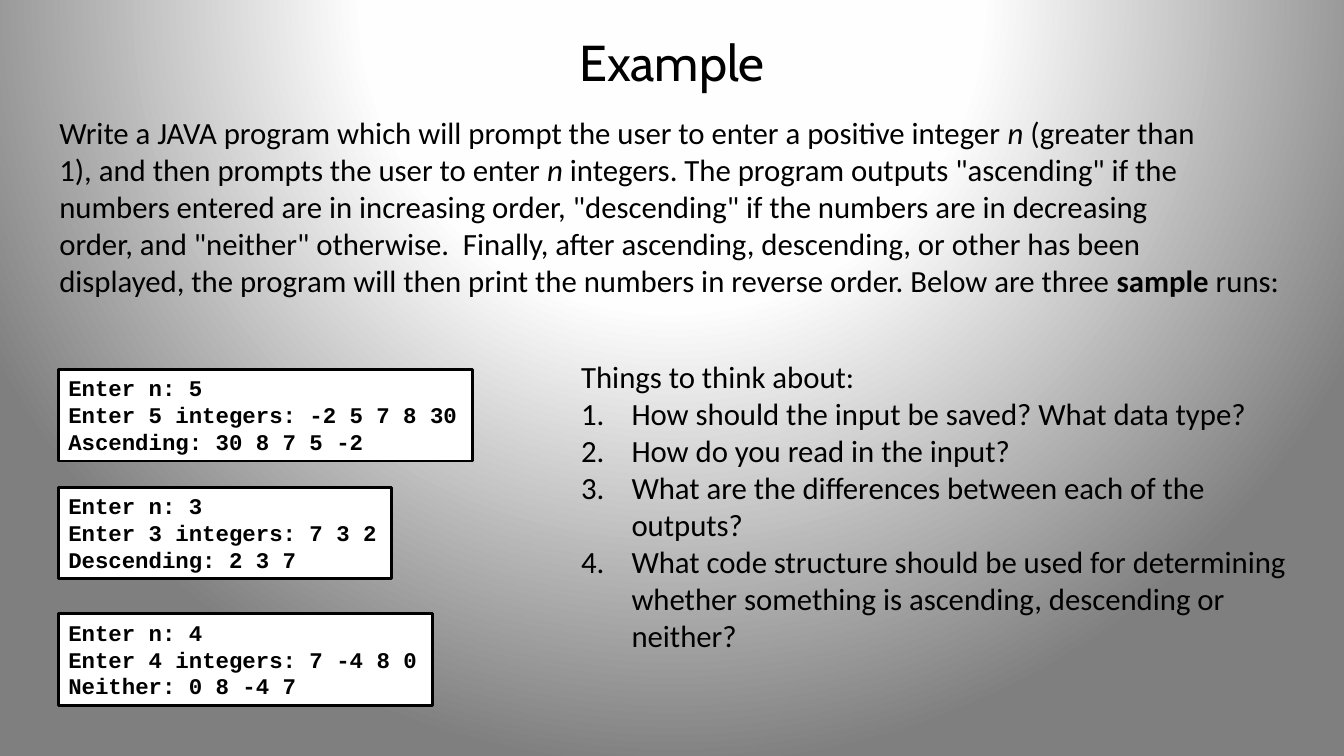
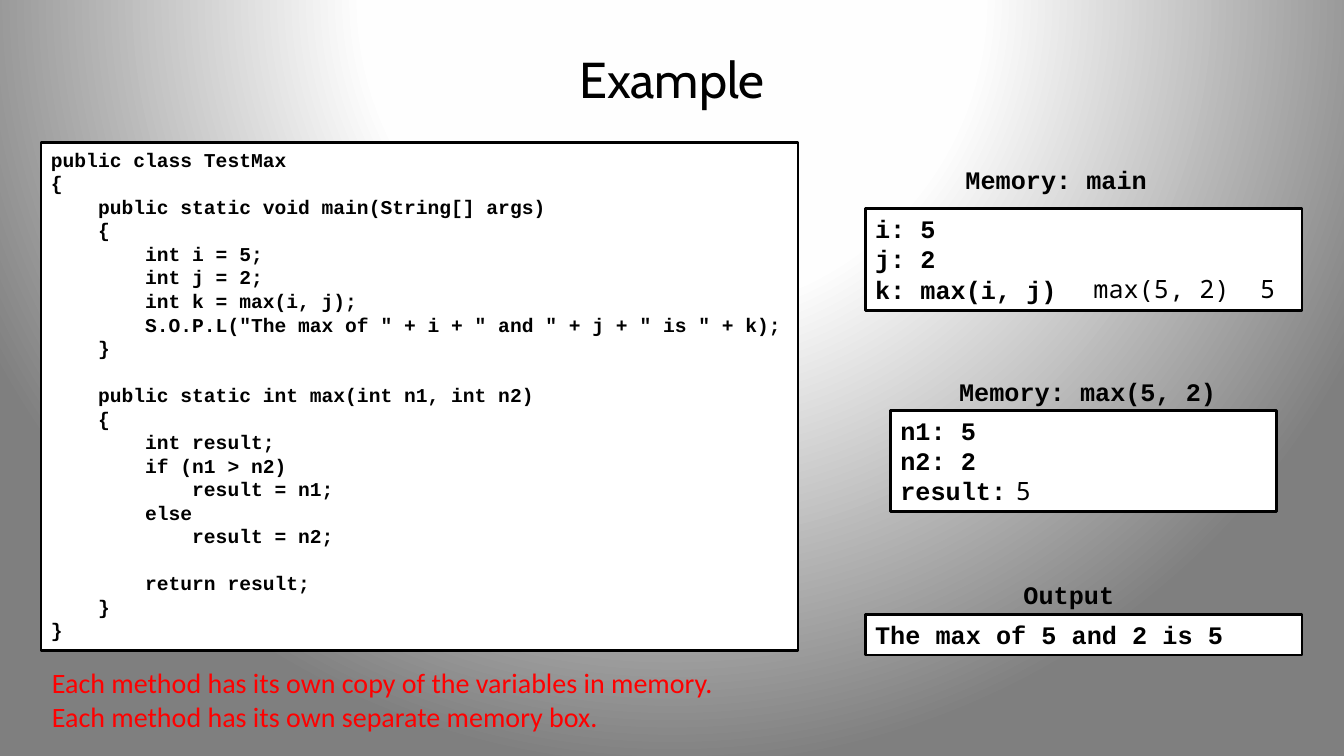
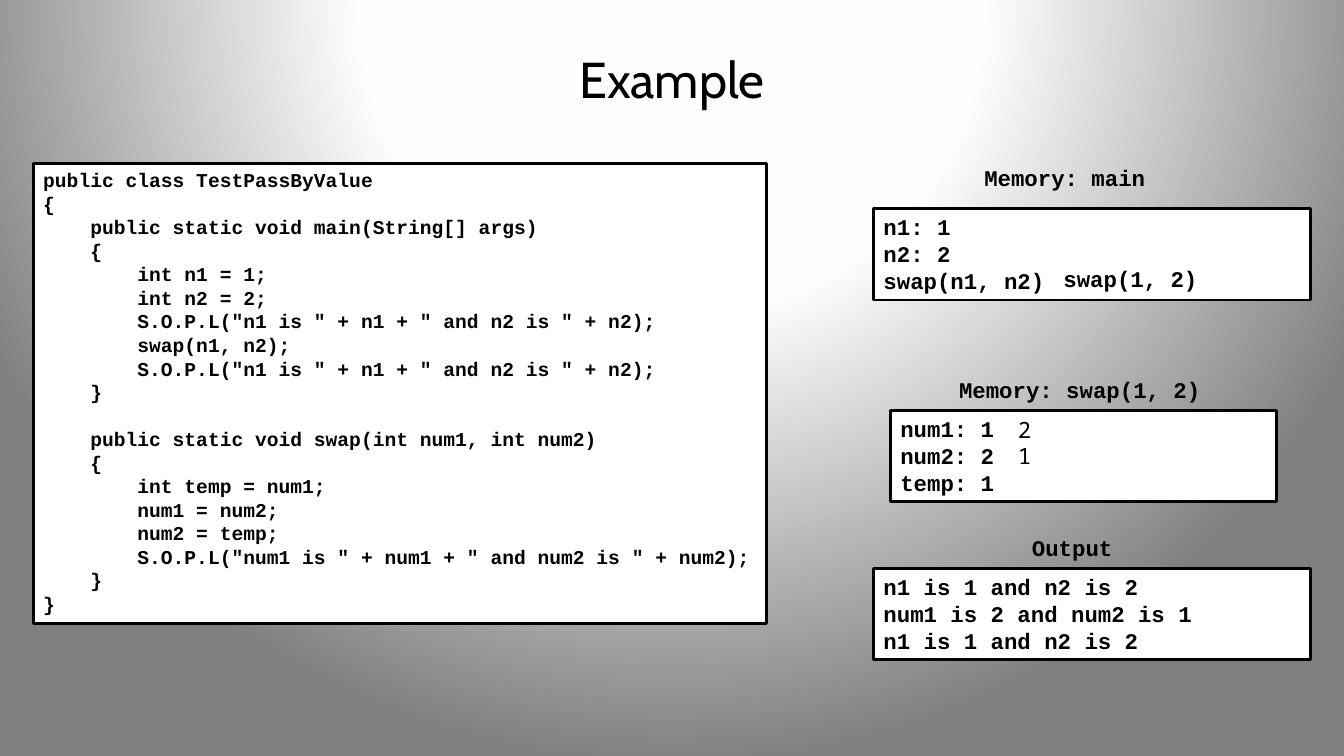
import dataclasses

import lxml.etree
import pptx
import pptx.dml.color
import pptx.enum.shapes
import pptx.enum.text
import pptx.oxml
import pptx.oxml.ns
import pptx.util

Pt = pptx.util.Pt


@dataclasses.dataclass(frozen=True)
class Style:
    """Font, weight and colour of a kind of text."""
    font: str
    bold: bool = False
    color: str = "000000"


@dataclasses.dataclass(frozen=True)
class Theme:
    """Colours, type and measures shared by the slides."""
    width: int = 960
    height: int = 540
    title: Style = Style("Cabin")
    body: Style = Style("Calibri")
    note: Style = Style("Calibri", color="FF0000")
    mono: Style = Style("Courier New", bold=True)
    value: Style = Style("Noto Sans Mono")
    title_size: int = 36
    body_size: int = 22
    note_size: int = 20
    large_size: int = 18
    sample_size: int = 16
    code_size: int = 14
    panel_fill: str = "FFFFFF"
    panel_line: str = "000000"
    line_width: int = 2
    leading: float = 1.21
    padding: float = 7.2
    indent: int = 36
    stops: tuple = ((0, "FFFFFF"), (40, "FEFEFE"), (100, "7F7F7F"))


THEME = Theme()

MAX_CODE = """public class TestMax
{
    public static void main(String[] args)
    {
        int i = 5;
        int j = 2;
        int k = max(i, j);
        S.O.P.L("The max of " + i + " and " + j + " is " + k);
    }

    public static int max(int n1, int n2)
    {
        int result;
        if (n1 > n2)
            result = n1;
        else
            result = n2;

        return result;
    }
}"""

SWAP_CODE = """public class TestPassByValue
{
    public static void main(String[] args)
    {
        int n1 = 1;
        int n2 = 2;
        S.O.P.L("n1 is " + n1 + " and n2 is " + n2);
        swap(n1, n2);
        S.O.P.L("n1 is " + n1 + " and n2 is " + n2);
    }

    public static void swap(int num1, int num2)
    {
        int temp = num1;
        num1 = num2;
        num2 = temp;
        S.O.P.L("num1 is " + num1 + " and num2 is " + num2);
    }
}"""

TASK = (
    ("Write a JAVA program which will prompt the user to enter a positive integer ", ""),
    ("n ", "i"),
    ("(greater than \n1), and then prompts the user to enter ", ""),
    ("n ", "i"),
    ('integers. The program outputs "ascending" if the \n'
     'numbers entered are in increasing order, "descending" if the numbers are in decreasing \n'
     'order, and "neither" otherwise.  Finally, after ascending, descending, or other has been \n'
     "displayed, the program will then print the numbers in reverse order. Below are three ", ""),
    ("sample ", "b"),
    ("runs:", ""),
)

QUESTIONS = (
    "How should the input be saved? What data type?",
    "How do you read in the input?",
    "What are the differences between each of the outputs?",
    "What code structure should be used for determining whether something is "
    "ascending, descending or neither?",
)


def rgb(color):
    """Return a colour object for a hex string."""
    return pptx.dml.color.RGBColor.from_string(color)


def format_run(r, style, size):
    """Apply a style and size to a run."""
    r.font.name = style.font
    r.font.size = Pt(size)
    r.font.bold = style.bold
    r.font.color.rgb = rgb(style.color)


def format_text(tf, style, size):
    """Format every paragraph of a frame, sizing its empty lines too."""
    for p in tf.paragraphs:
        p.alignment = pptx.enum.text.PP_ALIGN.LEFT
        for r in p.runs:
            format_run(r, style, size)
        if not p.runs:
            end = lxml.etree.SubElement(p._p, pptx.oxml.ns.qn("a:endParaRPr"))
            end.set("sz", str(size * 100))


def set_background(master):
    """Give the master a circular gradient lit from above."""
    master.background.fill.solid()
    bg = master.element.find(".//" + pptx.oxml.ns.qn("p:bgPr"))
    stops = "".join(f'<a:gs pos="{pos * 1000}"><a:srgbClr val="{color}"/></a:gs>'
                    for pos, color in THEME.stops)
    grad = pptx.oxml.parse_xml(
        f'<a:gradFill {pptx.oxml.ns.nsdecls("a")} rotWithShape="1"><a:gsLst>{stops}</a:gsLst>'
        '<a:path path="circle"><a:fillToRect l="50000" t="-80000" r="50000" b="180000"/>'
        "</a:path></a:gradFill>")
    bg.replace(bg[0], grad)


def add_slide(prs, title, top, height):
    """Add a title-only slide with its centred title."""
    s = prs.slides.add_slide(prs.slide_layouts[5])
    sp = s.shapes.title
    sp.left, sp.top, sp.width, sp.height = Pt(48), Pt(top), Pt(864), Pt(height)
    tf = sp.text_frame
    tf.text = title
    tf.vertical_anchor = pptx.enum.text.MSO_ANCHOR.MIDDLE
    format_text(tf, THEME.title, THEME.title_size)
    tf.paragraphs[0].alignment = pptx.enum.text.PP_ALIGN.CENTER
    return s


def text_height(rows, size):
    """Return the height of a box that holds the given rows."""
    return Pt(round(rows * size * THEME.leading + THEME.padding, 2))


def setup_frame(sp, wrap):
    """Make a text frame top anchored and fitted to its text."""
    tf = sp.text_frame
    tf.word_wrap = wrap
    tf.auto_size = pptx.enum.text.MSO_AUTO_SIZE.SHAPE_TO_FIT_TEXT
    tf.vertical_anchor = pptx.enum.text.MSO_ANCHOR.TOP
    return tf


def add_box(s, left, top, width, rows, size, wrap=False):
    """Add an empty text box and return its frame."""
    sp = s.shapes.add_textbox(Pt(left), Pt(top), Pt(width), text_height(rows, size))
    return setup_frame(sp, wrap)


def add_label(s, text, left, top, width, size, style=THEME.mono):
    """Add a one-line label."""
    tf = add_box(s, left, top, width, 1, size)
    tf.text = text
    format_text(tf, style, size)


def add_panel(s, text, left, top, width, size, wrap=False):
    """Add a white outlined panel of monospaced lines."""
    rows = text.count("\n") + 1
    sp = s.shapes.add_shape(pptx.enum.shapes.MSO_SHAPE.RECTANGLE, Pt(left), Pt(top),
                            Pt(width), text_height(rows, size))
    sp.shadow.inherit = False
    sp.fill.solid()
    sp.fill.fore_color.rgb = rgb(THEME.panel_fill)
    sp.line.color.rgb = rgb(THEME.panel_line)
    sp.line.width = Pt(THEME.line_width)
    tf = setup_frame(sp, wrap)
    tf.text = text
    format_text(tf, THEME.mono, size)


def add_passage(s, pieces, left, top, width, size, style):
    """Add one paragraph of pieces with emphasis and line breaks."""
    rows = sum(text.count("\n") for text, _ in pieces) + 1
    p = add_box(s, left, top, width, rows, size).paragraphs[0]
    for text, emphasis in pieces:
        for i, line in enumerate(text.split("\n")):
            if i:
                p.add_line_break()
            r = p.add_run()
            r.text = line
            format_run(r, style, size)
            r.font.italic = emphasis == "i"
            r.font.bold = emphasis == "b"


def add_numbered(s, heading, items, left, top, width, rows, size):
    """Add a heading followed by a numbered list."""
    tf = add_box(s, left, top, width, rows, size, wrap=True)
    tf.text = "\n".join((heading, *items))
    for p in tf.paragraphs[1:]:
        pPr = p._p.get_or_add_pPr()
        pPr.set("marL", str(Pt(THEME.indent)))
        pPr.set("indent", str(-Pt(THEME.indent)))
        number = lxml.etree.SubElement(pPr, pptx.oxml.ns.qn("a:buAutoNum"))
        number.set("type", "arabicPeriod")
    format_text(tf, THEME.body, size)


def build_task(prs):
    """Build the exercise slide with its sample runs."""
    s = add_slide(prs, "Example", 12, 63)
    add_passage(s, TASK, 35.3, 77.8, 902, THEME.body_size, THEME.body)
    for text, top, width in (
            ("Enter n: 5\nEnter 5 integers: -2 5 7 8 30\nAscending: 30 8 7 5 -2", 264, 296),
            ("Enter n: 3\nEnter 3 integers: 7 3 2\nDescending: 2 3 7", 348, 238),
            ("Enter n: 4\nEnter 4 integers: 7 -4 8 0\nNeither: 0 8 -4 7", 438.5, 267)):
        add_panel(s, text, 41.7, top, width, THEME.sample_size)
    add_numbered(s, "Things to think about:", QUESTIONS, 408, 252, 522, 8, THEME.body_size)


def build_trace(prs, code, code_box, size, panels, labels, values):
    """Build a slide with code beside its memory boxes and output."""
    s = add_slide(prs, "Example", 21.6, 68.4)
    add_panel(s, code, *code_box, THEME.code_size)
    for panel in panels:
        add_panel(s, *panel, size, wrap=True)
    for label in labels:
        add_label(s, *label, size)
    for value in values:
        add_label(s, *value, size, THEME.value)
    return s


def main():
    """Build and save the presentation."""
    prs = pptx.Presentation()
    prs.slide_width, prs.slide_height = Pt(THEME.width), Pt(THEME.height)
    set_background(prs.slide_master)
    build_task(prs)
    s = build_trace(
        prs, MAX_CODE, (29.3, 102, 540.7), THEME.large_size,
        panels=(("i: 5\nj: 2\nk: max(i, j)", 618, 149, 312),
                ("n1: 5\nn2: 2\nresult:", 636, 293, 276),
                ("The max of 5 and 2 is 5", 618, 439, 312)),
        labels=(("Memory: main", 682.5, 114, 145.5),
                ("Memory: max(5, 2)", 678, 265, 200),
                ("Output", 724, 410.5, 80)),
        values=(("max(5, 2)", 774, 192, 113),
                ("5", 718.5, 336, 25),
                ("5", 893, 192, 25)))
    add_passage(s, (("Each method has its own copy of the variables in memory. \n"
                     "Each method has its own separate memory box.", ""),),
                30, 472, 493, THEME.note_size, THEME.note)
    build_trace(
        prs, SWAP_CODE, (23.8, 116.6, 523.5), THEME.sample_size,
        panels=(("n1: 1\nn2: 2\nswap(n1, n2)", 624, 149, 312),
                ("num1: 1\nnum2: 2\ntemp: 1", 636, 293, 276),
                ("n1 is 1 and n2 is 2\nnum1 is 2 and num2 is 1\nn1 is 1 and n2 is 2",
                 624, 406, 312)),
        labels=(("Memory: main", 696, 114, 131),
                ("swap(1, 2)", 752.5, 186, 111.5),
                ("Memory: swap(1, 2)", 678, 265, 189),
                ("Output", 730, 378, 73)),
        values=(("2", 720, 294, 24.5),
                ("1", 720, 312, 24.5)))
    prs.save("out.pptx")


if __name__ == "__main__":
    main()
